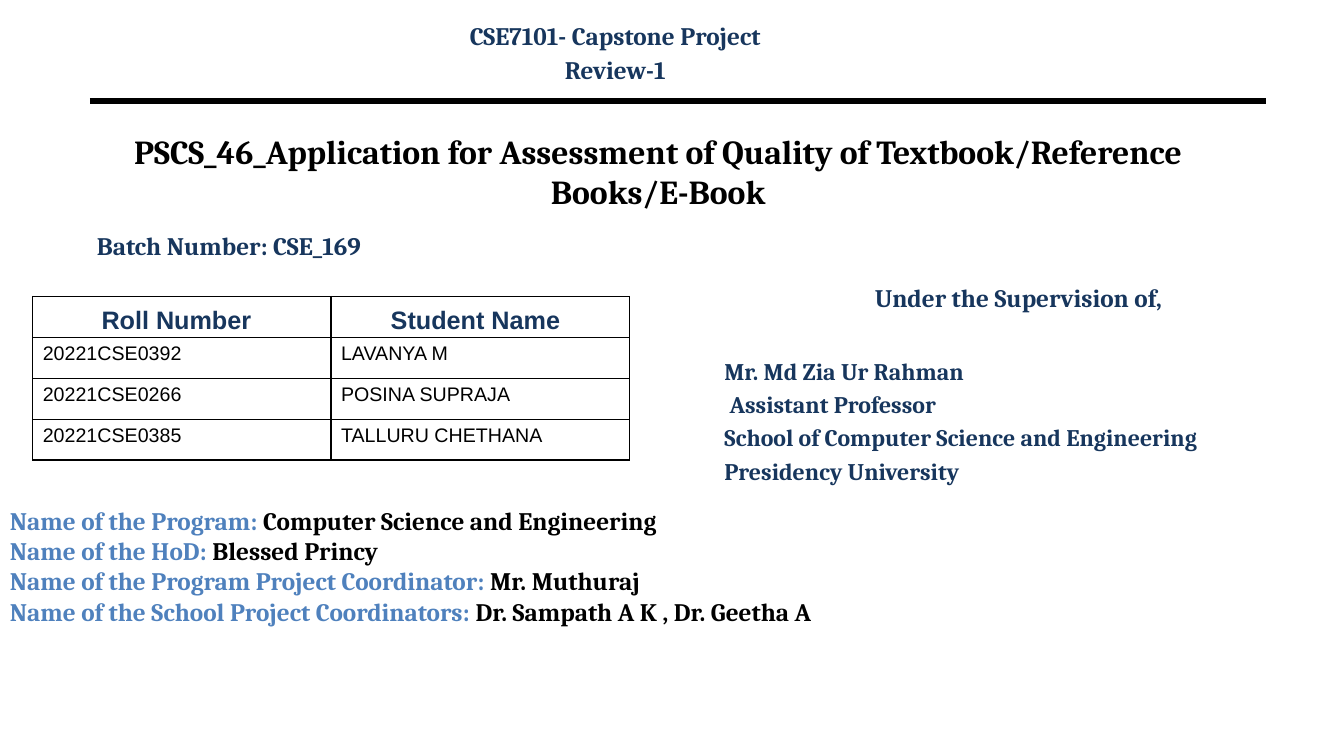
from lxml import etree
from pptx import Presentation
from pptx import util as u
from pptx.dml.color import RGBColor
from pptx.enum import shapes, text
from pptx.oxml import ns

NAVY = RGBColor(0x17, 0x36, 0x5D)
BLUE = RGBColor(0x4F, 0x81, 0xBD)
BLACK = RGBColor(0, 0, 0)
CENTER = text.PP_ALIGN.CENTER
LEFT = text.PP_ALIGN.LEFT
COLUMNS, ROWS = 160, 90

HEADINGS = [("Roll Number", "Student Name")] + [("", "")] * 5
STUDENTS = [
    ("", ""),
    ("20221CSE0392", "LAVANYA M"),
    ("20221CSE0266", "POSINA SUPRAJA"),
    ("20221CSE0385", "TALLURU CHETHANA"),
]
SUPERVISOR = [
    "Mr. Md Zia Ur Rahman",
    " Assistant Professor",
    "School of Computer Science and Engineering",
    "Presidency University",
]
CONTACTS = [
    ("Name of the Program: ", "Computer Science and Engineering"),
    ("Name of the HoD: ", "Blessed Princy"),
    ("Name of the Program Project Coordinator: ", "Mr. Muthuraj"),
    ("Name of the School Project Coordinators: ", "Dr. Sampath A K , Dr. Geetha A"),
]


class CoverSlide:
    """Places elements by columns and rows of a 160 by 90 grid."""

    def __init__(self, deck):
        self.column = deck.slide_width / COLUMNS
        self.row = deck.slide_height / ROWS
        self.page = deck.slides.add_slide(deck.slide_layouts[5])

    def area(self, left, top, width, height):
        return (round(left * self.column), round(top * self.row),
                round(width * self.column), round(height * self.row))

    def style(self, para, size, color, align=LEFT, before=0, name="Cambria", bold=True):
        para.alignment = align
        para.space_before = u.Pt(before)
        font = para.font
        font.name, font.size, font.bold = name, u.Pt(size), bold
        font.color.rgb = color

    def title(self, words, *place):
        box = self.page.shapes.title
        box.left, box.top, box.width, box.height = self.area(*place)
        frame = box.text_frame
        frame.text = words
        frame.auto_size = text.MSO_AUTO_SIZE.NONE
        frame.vertical_anchor = text.MSO_ANCHOR.MIDDLE
        self.style(frame.paragraphs[0], 24, BLACK, CENTER)

    def textbox(self, place, lines):
        """Each line is its spans (words, colour), size, alignment and space before."""
        frame = self.page.shapes.add_textbox(*self.area(*place)).text_frame
        frame.word_wrap = True
        for index, (spans, size, align, before) in enumerate(lines):
            para = frame.add_paragraph() if index else frame.paragraphs[0]
            self.style(para, size, spans[0][1], align, before)
            for words, color in spans:
                span = para.add_run()
                span.text = words
                if len(spans) > 1:
                    span.font.color.rgb = color

    def rule(self, left, right, row, width):
        x, y, span, _ = self.area(left, row, right - left, 0)
        line = self.page.shapes.add_connector(
            shapes.MSO_CONNECTOR.STRAIGHT, x, y, x + span, y)
        line.line.color.rgb = BLACK
        line.line.width = u.Pt(width)
        etree.SubElement(line._element.spPr, ns.qn("a:effectLst"))

    def border(self, cell, ruled):
        properties = cell._tc.get_or_add_tcPr()
        for side in ("lnL", "lnR", "lnT", "lnB"):
            edge = etree.SubElement(properties, ns.qn(f"a:{side}"), w=str(u.Pt(1)))
            if ruled:
                fill = etree.SubElement(edge, ns.qn("a:solidFill"))
                etree.SubElement(fill, ns.qn("a:srgbClr"), val=str(BLACK))
            else:
                etree.SubElement(edge, ns.qn("a:noFill"))

    def table(self, place, rows, widths, row_height, ruled, size, color, align, bold):
        """Column widths and the row height are in grid units."""
        table = self.page.shapes.add_table(
            len(rows), len(widths), *self.area(*place)).table
        table.first_row = table.horz_banding = False
        for column, width in zip(table.columns, widths):
            column.width = round(width * self.column)
        for row, values in zip(table.rows, rows):
            row.height = round(row_height * self.row)
            for cell, value in zip(row.cells, values):
                self.border(cell, ruled)
                cell.fill.background()
                cell.text = value
                if value:
                    para = cell.text_frame.paragraphs[0]
                    self.style(para, size, color, align, name="Arial", bold=bold)
                if not ruled:
                    cell.vertical_anchor = text.MSO_ANCHOR.MIDDLE


def main():
    deck = Presentation()
    deck.slide_width, deck.slide_height = u.Inches(13.33), u.Inches(7.5)
    cover = CoverSlide(deck)
    cover.rule(10.7, 150.7, 12, 4.5)
    cover.title("PSCS_46_Application for Assessment of Quality of "
                "Textbook/Reference Books/E-Book", 10.35, 14.05, 136, 12.6)
    cover.textbox((10.35, 26.85, 57.6, 7.2),
                  [([("Batch Number: CSE_169", NAVY)], 18, LEFT, 0)])
    cover.textbox((85.05, 33, 72.4, 26.5), [
        ([("Under the Supervision of,", NAVY)], 18, CENTER, 0),
        *[([(line, NAVY)], 17, LEFT, 3.4 if index else 31.5)
          for index, line in enumerate(SUPERVISOR)],
    ])
    cover.table((7.3, 35.75, 71.2, 28.8), HEADINGS, (27.4, 43.8), 4,
                ruled=False, size=18, color=NAVY, align=CENTER, bold=True)
    cover.textbox((37.2, 1.8, 72.1, 9.6), [
        ([("CSE7101- Capstone Project", NAVY)], 18, CENTER, 0),
        ([("Review-1", NAVY)], 18, CENTER, 3.1),
    ])
    cover.textbox((0, 59.55, 160.8, 20.5), [
        ([(role, BLUE), (name, BLACK)], 18, LEFT, 0) for role, name in CONTACTS])
    cover.table((3.9, 35.3, 71, 19.4), STUDENTS, (35.5, 35.5), 4.87,
                ruled=True, size=14, color=BLACK, align=LEFT, bold=False)
    deck.save("out.pptx")


if __name__ == "__main__":
    main()
